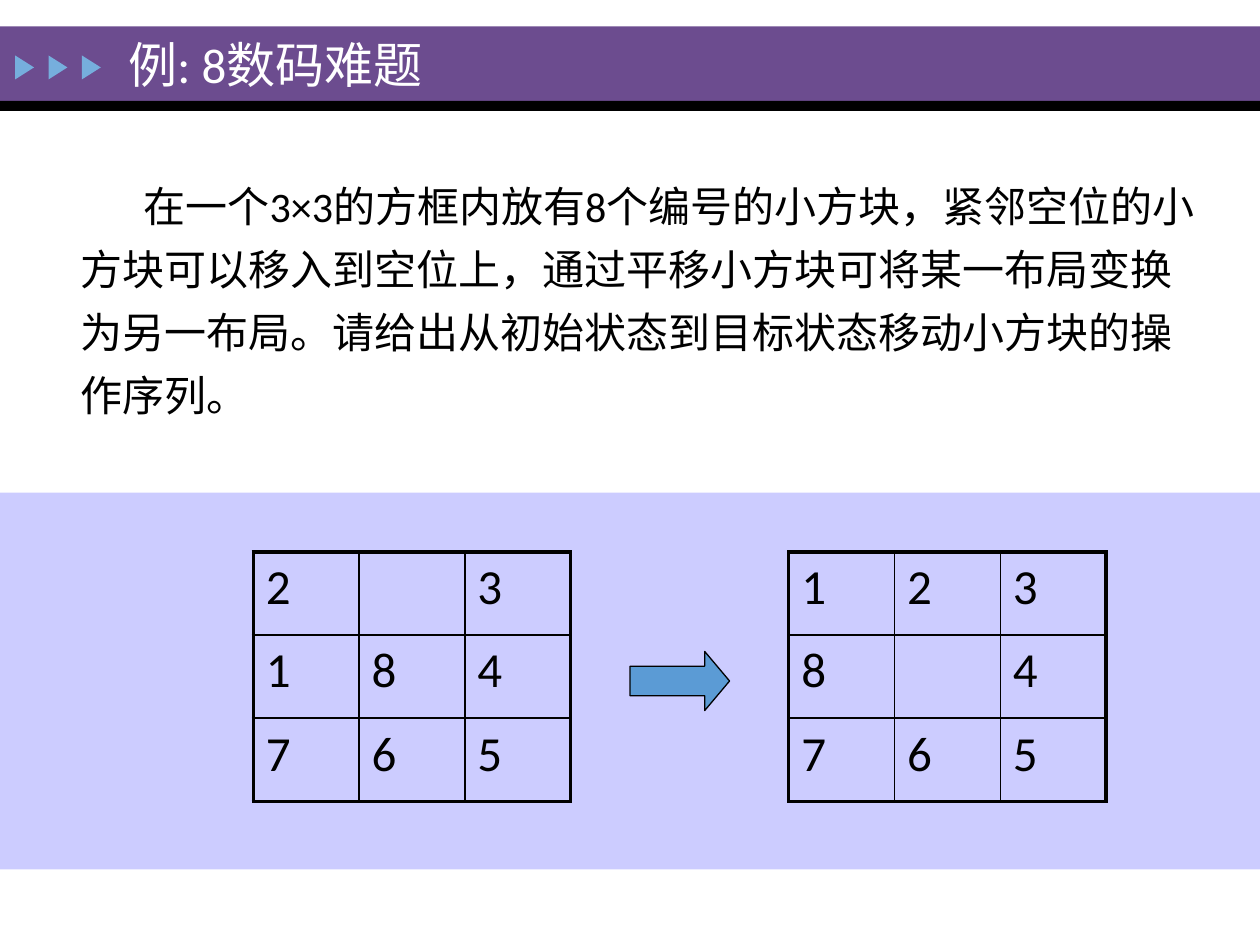
from dataclasses import dataclass
from typing import NamedTuple

from lxml.etree import SubElement
from pptx import Presentation
from pptx.dml.color import RGBColor
from pptx.enum.shapes import MSO_SHAPE
from pptx.enum.text import MSO_ANCHOR, MSO_AUTO_SIZE, PP_ALIGN
from pptx.oxml.ns import qn
from pptx.util import Inches, Pt


@dataclass(frozen=True)
class Theme:
    """Colours, font, type sizes and line widths of the slide."""
    font: str = "Calibri"
    ink: str = "000000"
    white: str = "FFFFFF"
    purple: str = "6C4C8F"
    sky: str = "76AEDD"
    lilac: str = "CCCCFF"
    blue: str = "5B9BD5"
    head: int = 28
    body: int = 24
    digit: int = 28
    thin: float = 1
    thick: float = 2.25


class Box(NamedTuple):
    """A place on a grid of 100 columns by 75 rows."""
    col: float
    row: float
    wide: float
    high: float

    def lay(self) -> list[int]:
        """Return left, top, width and height as lengths."""
        return [Inches(part / 10) for part in self]


class Board(NamedTuple):
    """A puzzle state, with a space for the empty square."""
    box: Box
    rows: tuple[str, ...]


THEME = Theme()
SIDE = 3
BOARDS = (
    Board(Box(20.1, 43.8, 25.2, 19.8), ("2 3", "184", "765")),
    Board(Box(62.6, 43.8, 25.2, 19.8), ("123", "8 4", "765")),
)
TASK = ("在一个3×3的方框内放有8个编号的小方块，紧邻空位的小方块可以移入到空位上，"
        "通过平移小方块可将某一布局变换为另一布局。"
        "请给出从初始状态到目标状态移动小方块的操作序列。")


def put(frame, text: str, *, size: int, tint: str = THEME.ink,
        space: float = 1, indent: float = 0, plain: bool = False) -> None:
    """Write one left-aligned paragraph in a text frame."""
    para = frame.paragraphs[0]
    if plain:
        props = para._p.get_or_add_pPr()
        props.set("marL", "0")
        props.set("indent", str(Inches(indent)))
        SubElement(props, qn("a:buNone"))
    para.alignment = PP_ALIGN.LEFT
    para.line_spacing = space
    para.space_before = Pt(0)
    run = para.add_run()
    run.text = text
    run.font.name = THEME.font
    run.font.size = Pt(size)
    run.font.color.rgb = RGBColor.from_string(tint)


def draw(slide, kind: MSO_SHAPE, box: Box, tint: str, edge: float = 0):
    """Add a filled shape, outlined when an edge width is given."""
    shape = slide.shapes.add_shape(kind, *box.lay())
    shape.shadow.inherit = False
    shape.fill.solid()
    shape.fill.fore_color.rgb = RGBColor.from_string(tint)
    if edge:
        shape.line.color.rgb = RGBColor.from_string(THEME.ink)
        shape.line.width = Pt(edge)
    else:
        shape.line.fill.background()
    return shape


def place(slide, holder, box: Box, anchor: MSO_ANCHOR):
    """Move a placeholder to its box in front and return its text frame."""
    holder.left, holder.top, holder.width, holder.height = box.lay()
    slide.shapes._spTree.append(holder._element)
    frame = holder.text_frame
    frame.word_wrap = True
    frame.auto_size = MSO_AUTO_SIZE.NONE
    frame.vertical_anchor = anchor
    return frame


def rule(cell, row: int, col: int) -> None:
    """Border a cell, with thick lines on the rim of the board."""
    props = cell._tc.get_or_add_tcPr()
    last = SIDE - 1
    rims = {"L": col == 0, "R": col == last, "T": row == 0, "B": row == last}
    for side, rim in rims.items():
        width = Pt(THEME.thick if rim else THEME.thin)
        line = SubElement(props, qn(f"a:ln{side}"), w=str(width))
        fill = SubElement(line, qn("a:solidFill"))
        SubElement(fill, qn("a:srgbClr"), val=THEME.ink)


def tile(slide, board: Board) -> None:
    """Draw a puzzle state as a table."""
    table = slide.shapes.add_table(SIDE, SIDE, *board.box.lay()).table
    table.first_row = table.horz_banding = False
    for row, marks in enumerate(board.rows):
        for col, mark in enumerate(marks):
            cell = table.cell(row, col)
            rule(cell, row, col)
            cell.fill.background()
            if mark.strip():
                put(cell.text_frame, mark, size=THEME.digit)


def main() -> None:
    """Build and save the slide."""
    deck = Presentation()
    deck.slide_width, deck.slide_height = Inches(10), Inches(7.5)
    slide = deck.slides.add_slide(deck.slide_layouts[1])
    title, body = slide.placeholders
    draw(slide, MSO_SHAPE.RECTANGLE, Box(0, 2.1, 100, 5.9), THEME.purple)
    draw(slide, MSO_SHAPE.RECTANGLE, Box(0, 8, 100, 0.8), THEME.ink)
    for step in range(3):
        mark = Box(1 + 2.65 * step, 4.6, 1.9, 1.5)
        draw(slide, MSO_SHAPE.ISOSCELES_TRIANGLE, mark, THEME.sky).rotation = 90
    draw(slide, MSO_SHAPE.RECTANGLE, Box(0, 39.1, 100, 29.9), THEME.lilac)
    frame = place(slide, body, Box(5.4, 12.8, 90.8, 21.5), MSO_ANCHOR.TOP)
    put(frame, TASK, size=THEME.body, space=1.25, indent=0.5, plain=True)
    for board in BOARDS:
        tile(slide, board)
    arrow = draw(slide, MSO_SHAPE.RIGHT_ARROW, Box(50, 51.7, 7.9, 4.7),
                 THEME.blue, 0.75)
    arrow.adjustments[1] = 0.42
    frame = place(slide, title, Box(9.2, 0.7, 45.6, 8.8), MSO_ANCHOR.MIDDLE)
    put(frame, "例: 8数码难题", size=THEME.head, tint=THEME.white)
    deck.save("out.pptx")


if __name__ == "__main__":
    main()
